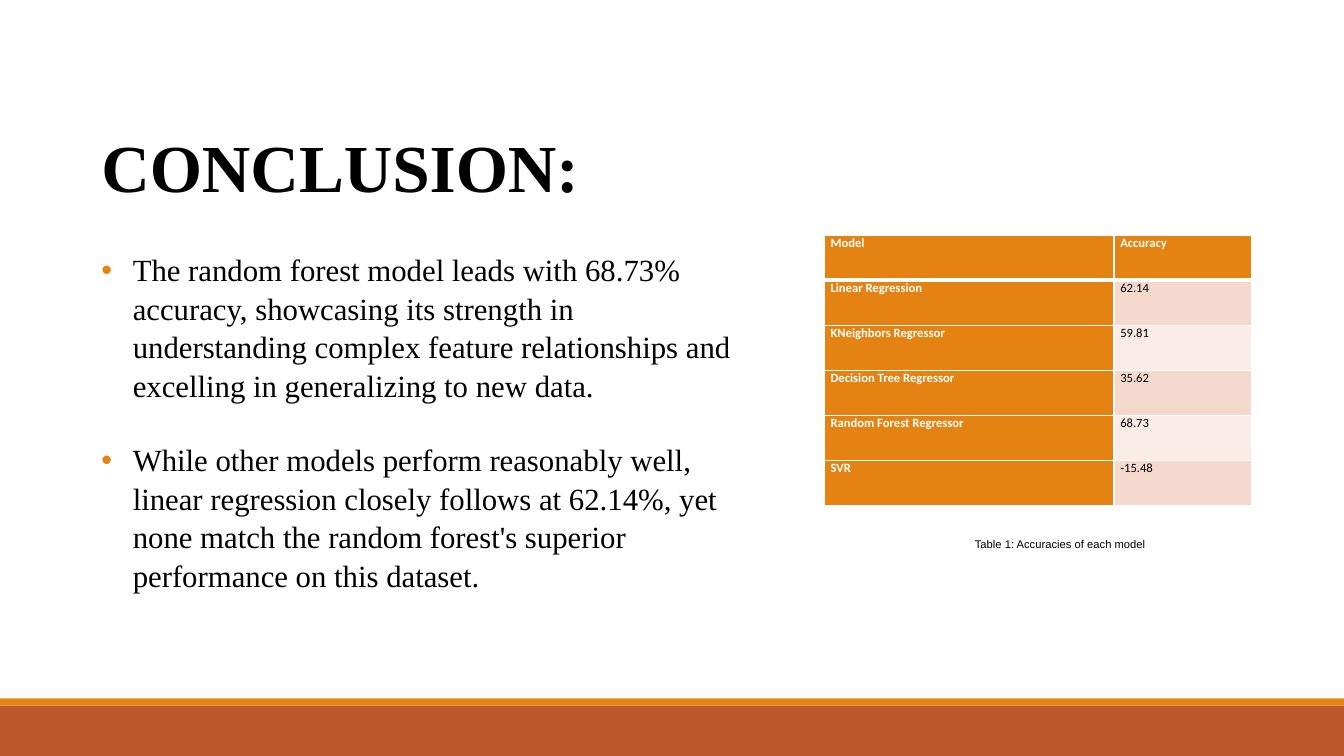
from dataclasses import dataclass

from lxml import etree
from pptx import Presentation
from pptx.dml.color import RGBColor
from pptx.enum.shapes import MSO_SHAPE
from pptx.enum.text import MSO_ANCHOR, PP_ALIGN
from pptx.oxml.ns import qn
from pptx.slide import Slide
from pptx.table import _Cell
from pptx.text.text import TextFrame, _Paragraph
from pptx.util import Pt

PX = 9525
RECTANGLE = MSO_SHAPE.RECTANGLE
TOP, MIDDLE, BOTTOM = MSO_ANCHOR.TOP, MSO_ANCHOR.MIDDLE, MSO_ANCHOR.BOTTOM
JUSTIFY = PP_ALIGN.JUSTIFY

WHITE = RGBColor(0xFF, 0xFF, 0xFF)
BLACK = RGBColor(0x00, 0x00, 0x00)
ORANGE = RGBColor(0xE4, 0x83, 0x12)
RUST = RGBColor(0xBD, 0x58, 0x2C)
BAND_TINTS = (RGBColor(0xF5, 0xD9, 0xCC), RGBColor(0xFA, 0xED, 0xE7))
SERIF = "Times New Roman"


@dataclass(frozen=True)
class Box:
    left: int
    top: int
    width: int
    height: int

    def emu(self) -> tuple[int, int, int, int]:
        return self.left * PX, self.top * PX, self.width * PX, self.height * PX


@dataclass(frozen=True)
class Style:
    font: str
    size: int
    color: RGBColor = BLACK
    bold: bool = False


@dataclass(frozen=True)
class Bar:
    box: Box
    color: RGBColor


BARS = (
    Bar(Box(0, 672, 1280, 48), RUST),
    Bar(Box(0, 665, 1280, 7), ORANGE),
)
TITLE_BOX = Box(87, 114, 640, 87)
BODY_BOX = Box(87, 233, 640, 329)
CAPTION_BOX = Box(727, 504, 493, 28)
COLUMNS = (276, 131)
ROW_HEIGHT = 43
CELL_INSET = 6
BULLET_INDENT = 30
CAPTION_INDENT = 192

TITLE = Style(SERIF, 48, bold=True)
BODY = Style(SERIF, 22)
CAPTION = Style("Arial", 8)
LABEL = Style("Calibri", 9, WHITE, True)
VALUE = Style("Calibri", 9)

FINDINGS = (
    "The random forest model leads with 68.73% accuracy, showcasing its strength in "
    "understanding complex feature relationships and excelling in generalizing to new data.",
    "While other models perform reasonably well, linear regression closely follows at 62.14%, "
    "yet none match the random forest's superior performance on this dataset.",
)
ACCURACIES = (
    ("Model", "Accuracy"),
    ("Linear Regression", "62.14"),
    ("KNeighbors Regressor", "59.81"),
    ("Decision Tree Regressor", "35.62"),
    ("Random Forest Regressor", "68.73"),
    ("SVR", "-15.48"),
)


def add_run(p: _Paragraph, text: str, style: Style) -> None:
    r = p.add_run()
    r.text = text
    r.font.name = style.font
    r.font.size = Pt(style.size)
    r.font.bold = style.bold
    r.font.color.rgb = style.color


def add_text_frame(s: Slide, box: Box, anchor: MSO_ANCHOR) -> TextFrame:
    tf = s.shapes.add_textbox(*box.emu()).text_frame
    tf.word_wrap = True
    tf.vertical_anchor = anchor
    return tf


def add_bar(s: Slide, bar: Bar) -> None:
    sp = s.shapes.add_shape(RECTANGLE, *bar.box.emu())
    sp.shadow.inherit = False
    sp.fill.solid()
    sp.fill.fore_color.rgb = bar.color
    sp.line.fill.background()


def set_bullet(p: _Paragraph) -> None:
    pPr = p._p.get_or_add_pPr()
    pPr.set("marL", str(BULLET_INDENT * PX))
    pPr.set("indent", str(-BULLET_INDENT * PX))
    color = etree.SubElement(pPr, qn("a:buClr"))
    etree.SubElement(color, qn("a:srgbClr"), val=str(ORANGE))
    etree.SubElement(pPr, qn("a:buFont"), typeface="Arial")
    etree.SubElement(pPr, qn("a:buChar"), char="•")


def add_findings(s: Slide) -> None:
    tf = add_text_frame(s, BODY_BOX, TOP)
    for i, finding in enumerate(FINDINGS):
        p = tf.add_paragraph() if i else tf.paragraphs[0]
        p.line_spacing = 1.04
        p.space_before = Pt(26 if i else 0)
        set_bullet(p)
        add_run(p, finding, BODY)


def set_borders(cell: _Cell, bottom: int) -> None:
    tcPr = cell._tc.get_or_add_tcPr()
    for side, width in (("L", 1), ("R", 1), ("T", 1), ("B", bottom)):
        ln = etree.SubElement(tcPr, qn(f"a:ln{side}"), w=str(Pt(width)))
        fill = etree.SubElement(ln, qn("a:solidFill"))
        etree.SubElement(fill, qn("a:srgbClr"), val=str(WHITE))


def fill_cell(cell: _Cell, text: str, style: Style, color: RGBColor, bottom: int) -> None:
    set_borders(cell, bottom)
    cell.fill.solid()
    cell.fill.fore_color.rgb = color
    cell.margin_left = cell.margin_right = CELL_INSET * PX
    cell.margin_top = cell.margin_bottom = 0
    p = cell.text_frame.paragraphs[0]
    p.alignment = JUSTIFY
    add_run(p, text, style)


def add_accuracy_table(s: Slide) -> None:
    box = Box(785, 224, sum(COLUMNS), ROW_HEIGHT * len(ACCURACIES))
    table = s.shapes.add_table(len(ACCURACIES), len(COLUMNS), *box.emu()).table
    table.first_col = True
    for column, width in zip(table.columns, COLUMNS):
        column.width = width * PX
    for i, row in enumerate(ACCURACIES):
        for j, text in enumerate(row):
            is_label = i == 0 or j == 0
            style = LABEL if is_label else VALUE
            color = ORANGE if is_label else BAND_TINTS[(i - 1) % 2]
            fill_cell(table.cell(i, j), text, style, color, 1 if i else 3)


def add_caption(s: Slide) -> None:
    p = add_text_frame(s, CAPTION_BOX, MIDDLE).paragraphs[0]
    p._p.get_or_add_pPr().set("marL", str(CAPTION_INDENT * PX))
    add_run(p, "Table 1: Accuracies of each model", CAPTION)


def add_title(s: Slide) -> None:
    p = add_text_frame(s, TITLE_BOX, BOTTOM).paragraphs[0]
    add_run(p, "CONCLUSION:", TITLE)


def main() -> None:
    """Build the conclusion slide and save it."""
    prs = Presentation()
    prs.slide_width, prs.slide_height = 1280 * PX, 720 * PX
    s = prs.slides.add_slide(prs.slide_layouts[6])
    for bar in BARS:
        add_bar(s, bar)
    add_accuracy_table(s)
    add_caption(s)
    add_findings(s)
    add_title(s)
    prs.save("out.pptx")


if __name__ == "__main__":
    main()
